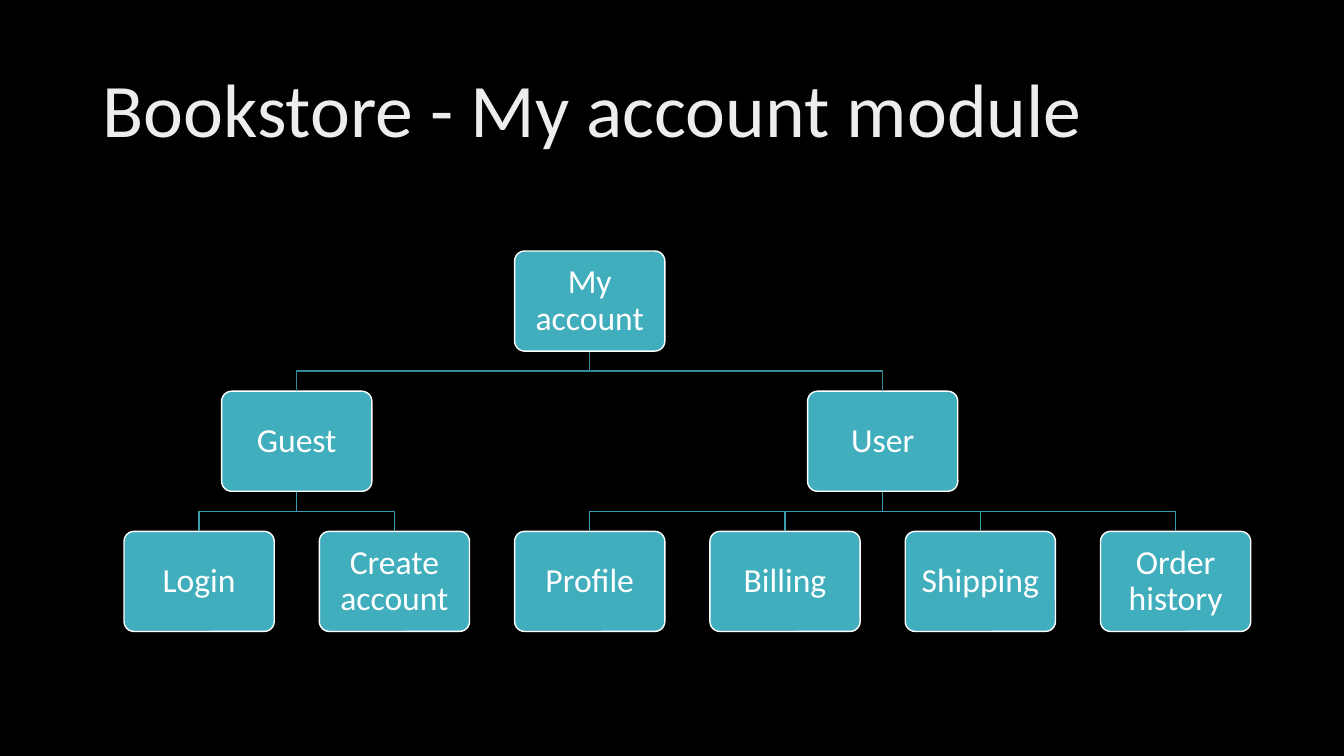
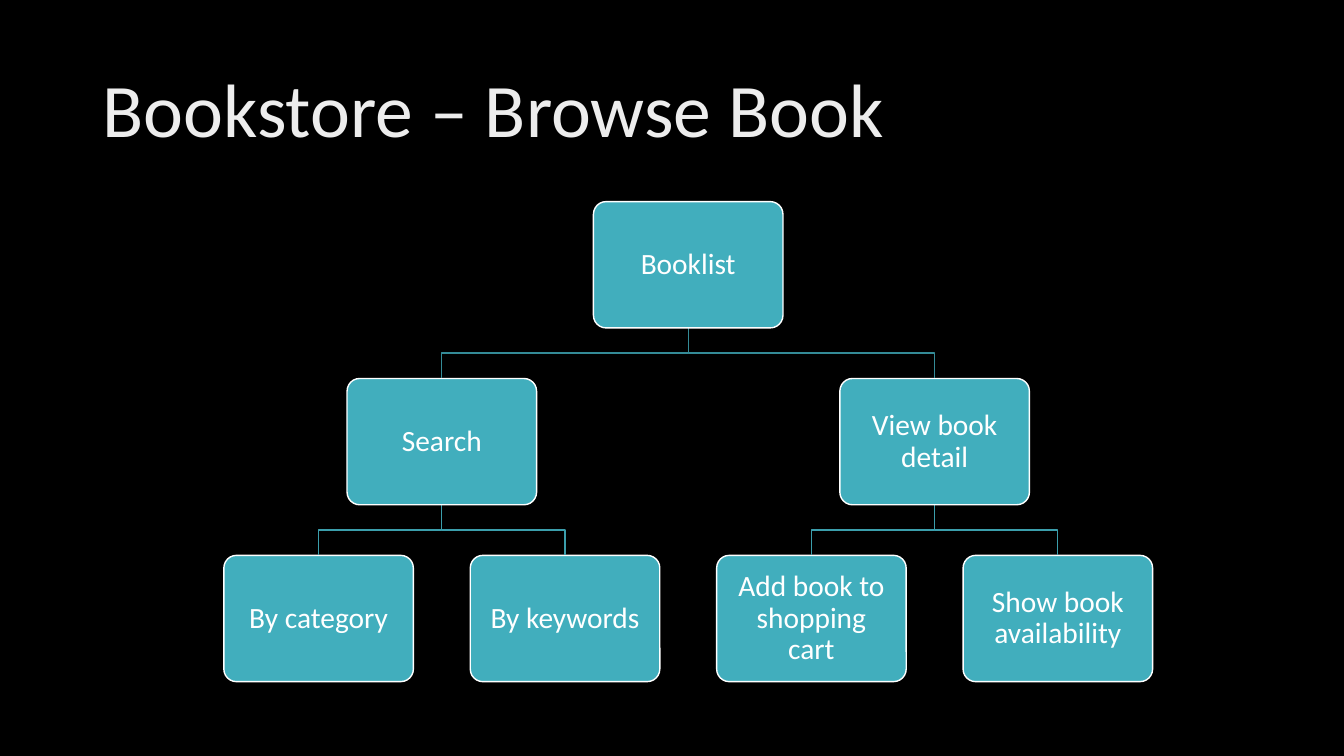
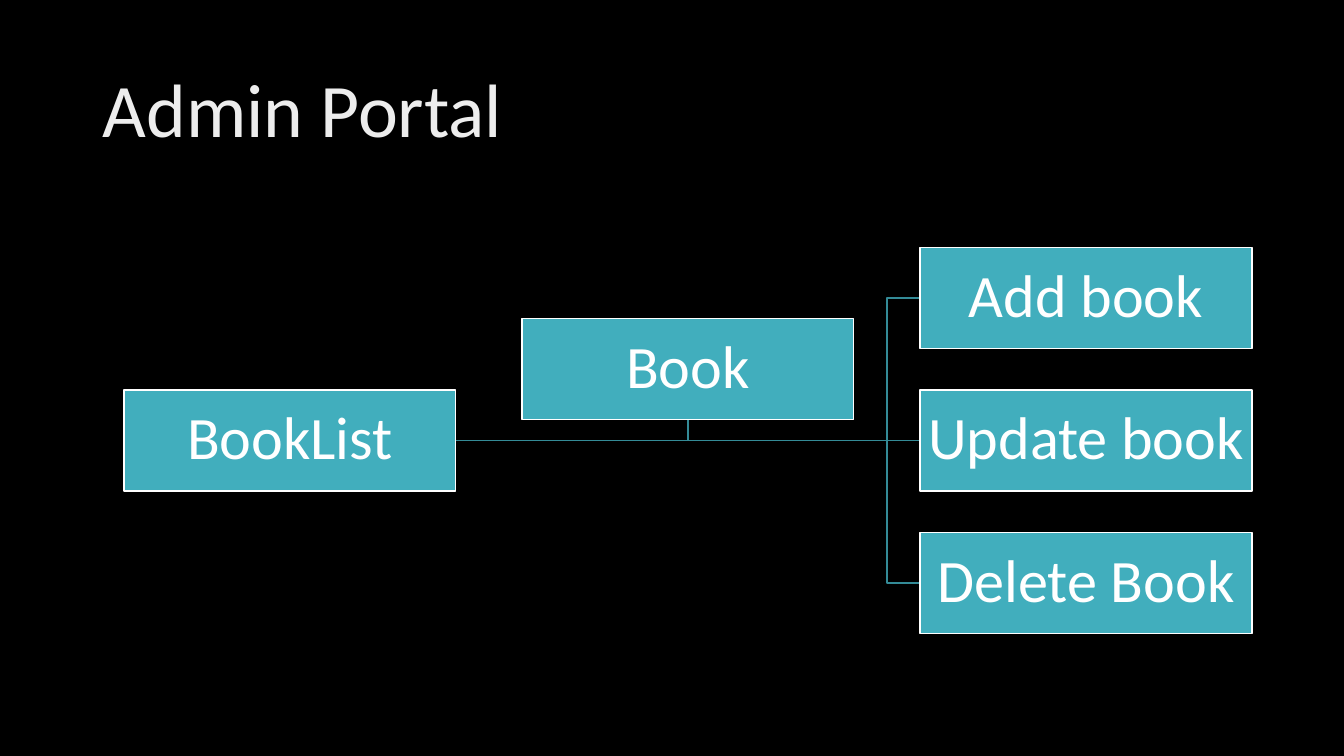
from dataclasses import dataclass

from pptx import Presentation
from pptx.dml.color import RGBColor
from pptx.enum.shapes import MSO_CONNECTOR, MSO_SHAPE
from pptx.enum.text import MSO_ANCHOR, PP_ALIGN
from pptx.oxml.ns import qn
from pptx.util import Inches, Pt
from lxml.etree import SubElement


@dataclass(frozen=True)
class Theme:
    font: str = "Calibri"
    background: str = "000000"
    title: str = "EDEDED"
    box: str = "41AEBD"
    box_text: str = "FFFFFF"
    outline: str = "FFFFFF"
    branches: tuple = ("348B97", "3B9EAC")  # one colour per tree level
    line_width: float = 1
    title_size: int = 54
    account_size: int = 24
    browse_size: int = 21
    admin_size: int = 43


THEME = Theme()

# Each node is (label, children)
ACCOUNT_TREE = ("My account", [
    ("Guest", [("Login", []), ("Create account", [])]),
    ("User", [("Profile", []), ("Billing", []),
              ("Shipping", []), ("Order history", [])]),
])
BROWSE_TREE = ("Booklist", [
    ("Search", [("By category", []), ("By keywords", [])]),
    ("View book detail", [("Add book to shopping cart", []),
                          ("Show book availability", [])]),
])
ADMIN_ACTIONS = ["Add book", "Update book", "Delete Book"]


# Text and shapes
def write(shape, text, size, color, align=PP_ALIGN.LEFT, inset=0.1, inset_y=None):
    frame = shape.text_frame
    frame.word_wrap = True
    frame.vertical_anchor = MSO_ANCHOR.MIDDLE
    frame.margin_left = frame.margin_right = Inches(inset)
    frame.margin_top = frame.margin_bottom = Inches(inset if inset_y is None else inset_y)
    paragraph = frame.paragraphs[0]
    paragraph.alignment = align
    paragraph.line_spacing = 0.9
    run = paragraph.add_run()
    run.text = text
    run.font.name = THEME.font
    run.font.size = Pt(size)
    run.font.color.rgb = RGBColor.from_string(color)


def outline(shape, color):
    shape.line.color.rgb = RGBColor.from_string(color)
    shape.line.width = Pt(THEME.line_width)


def add_box(slide, label, left, top, width, height, size, inset, rounded=False):
    preset = MSO_SHAPE.ROUNDED_RECTANGLE if rounded else MSO_SHAPE.RECTANGLE
    box = slide.shapes.add_shape(
        preset, Inches(left), Inches(top), Inches(width), Inches(height))
    if rounded:
        box.adjustments[0] = 0.1
    box.shadow.inherit = False
    box.fill.solid()
    box.fill.fore_color.rgb = RGBColor.from_string(THEME.box)
    outline(box, THEME.outline)
    write(box, label, size, THEME.box_text, align=PP_ALIGN.CENTER, inset=inset)


def add_branch(slide, points, color):
    """Draw a bent line through the points."""
    start, *rest = [(Inches(x), Inches(y)) for x, y in points]
    builder = slide.shapes.build_freeform(*start)
    builder.add_line_segments(rest, close=False)
    branch = builder.convert_to_shape()
    branch.shadow.inherit = False
    branch.fill.background()
    outline(branch, color)


def add_straight(slide, start, end, color):
    ends = [Inches(value) for value in (*start, *end)]
    line = slide.shapes.add_connector(MSO_CONNECTOR.STRAIGHT, *ends)
    outline(line, color)
    SubElement(line._element.spPr, qn("a:effectLst"))


def new_slide(prs, title):
    slide = prs.slides.add_slide(prs.slide_layouts[6])
    fill = slide.background.fill
    fill.solid()
    fill.fore_color.rgb = RGBColor.from_string(THEME.background)
    heading = slide.shapes.add_textbox(
        Inches(0.92), Inches(0.4), Inches(11.5), Inches(1.45))
    write(heading, title, THEME.title_size, THEME.title, inset_y=0.05)
    return slide


# Diagrams
def add_tree(slide, tree, left, top, width, size, inset):
    """Space the leaves evenly and centre each parent over its children."""
    height = width * 2 / 3
    column_pitch, row_pitch = width * 1.3, height * 1.4
    leaf_count = 0

    def place(node, level):
        nonlocal leaf_count
        label, children = node
        node_top = top + level * row_pitch
        if children:
            centres = [place(child, level + 1) for child in children]
            centre = (centres[0] + centres[-1]) / 2
            bottom, child_top = node_top + height, node_top + row_pitch
            bend = (bottom + child_top) / 2
            for x in centres:
                add_branch(slide, [(centre, bottom), (centre, bend),
                                   (x, bend), (x, child_top)],
                           THEME.branches[level])
        else:
            centre = left + width / 2 + leaf_count * column_pitch
            leaf_count += 1
        add_box(slide, label, centre - width / 2, node_top, width, height,
                size, inset, rounded=True)
        return centre

    place(tree, 0)


def add_admin_chart(slide):
    left, top, width, height = 1.23, 3.87, 3.29, 1
    column_pitch, row_pitch = width * 1.2, 1.415
    columns = [left + i * column_pitch for i in range(3)]
    middle = top + height / 2
    start = (left + width, middle)
    bend = columns[2] - (column_pitch - width) / 2
    color = THEME.branches[0]
    book_top = top - row_pitch / 2
    book_centre = columns[1] + width / 2

    # Lines lie behind the boxes
    add_branch(slide, [start, (book_centre, middle),
                       (book_centre, book_top + height)], color)
    add_straight(slide, start, (columns[2], middle), color)
    for row in (-1, 1):
        y = middle + row * row_pitch
        add_branch(slide, [start, (bend, middle), (bend, y), (columns[2], y)], color)

    boxes = [("BookList", columns[0], top), ("Book", columns[1], book_top)]
    boxes += [(action, columns[2], top + row * row_pitch)
              for row, action in enumerate(ADMIN_ACTIONS, -1)]
    for label, x, y in boxes:
        add_box(slide, label, x, y, width, height, THEME.admin_size, inset=0.03)


def main():
    prs = Presentation()
    prs.slide_width, prs.slide_height = Inches(13.33), Inches(7.5)

    account = new_slide(prs, "Bookstore - My account module")
    add_tree(account, ACCOUNT_TREE, left=1.23, top=2.49, width=1.49,
             size=THEME.account_size, inset=0.12)

    browse = new_slide(prs, "Bookstore – Browse Book")
    add_tree(browse, BROWSE_TREE, left=2.22, top=2, width=1.88,
             size=THEME.browse_size, inset=0.12)

    add_admin_chart(new_slide(prs, "Admin Portal"))
    prs.save("out.pptx")


if __name__ == "__main__":
    main()
